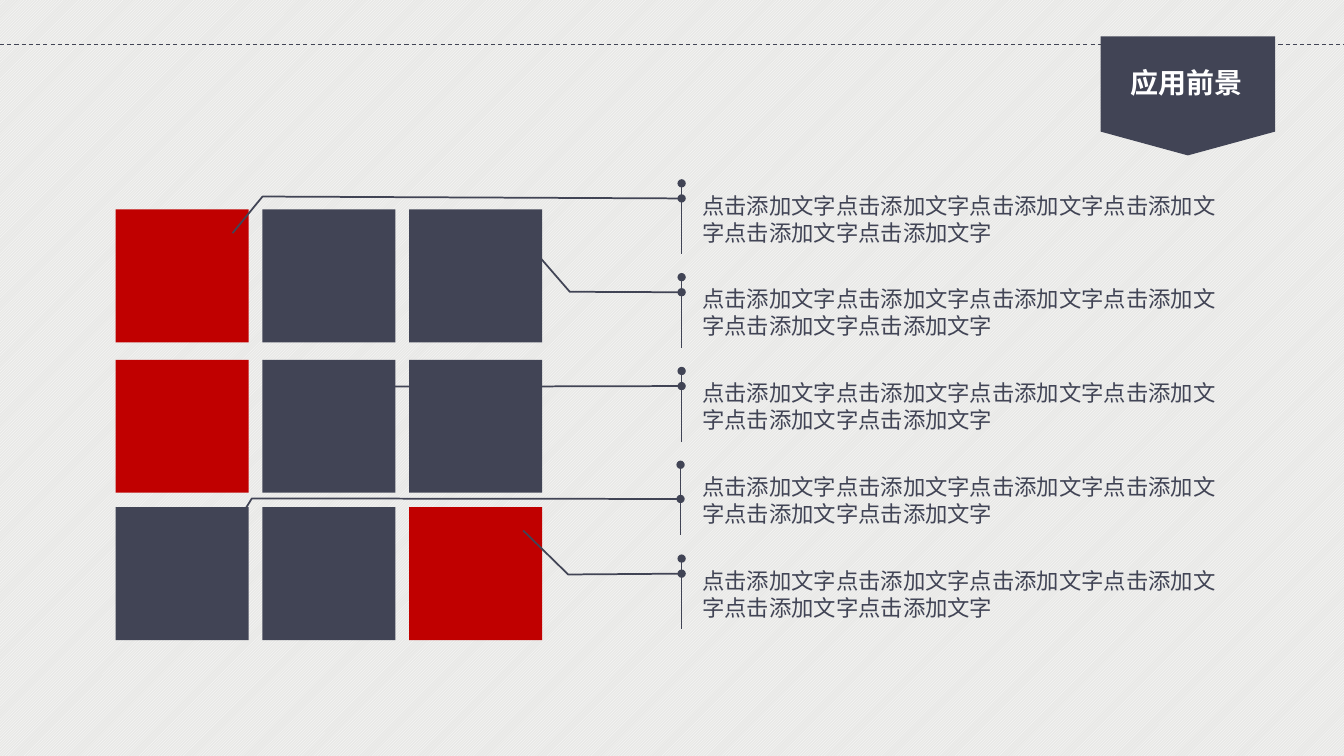
from lxml.etree import SubElement
from pptx import Presentation
from pptx.dml.color import RGBColor as RGB
from pptx.enum.dml import MSO_LINE as Dash, MSO_PATTERN as Pattern
from pptx.enum.shapes import MSO_CONNECTOR as Link, MSO_SHAPE as Shape
from pptx.enum.text import MSO_ANCHOR as Anchor, MSO_AUTO_SIZE as Fit, PP_ALIGN as Align
from pptx.oxml.ns import qn
from pptx.util import Pt


class Theme:
    dark = RGB(0x41, 0x44, 0x55)
    red = RGB(0xC0, 0x00, 0x00)
    white = RGB(0xFF, 0xFF, 0xFF)
    grey = RGB(0xE8, 0xE8, 0xE6)
    font = "Noto Sans CJK SC"
    head = Pt(20)
    body = Pt(16)


def add_block(kind, left, top, width, height, fill=None):
    block = slide.shapes.add_shape(kind, Pt(left), Pt(top), Pt(width), Pt(height))
    block.shadow.inherit = False
    if fill is None:
        block.fill.background()
    else:
        block.fill.solid()
        block.fill.fore_color.rgb = fill
        block.line.fill.background()
    return block


def write(frame, text, size, color, bold=False):
    para = frame.paragraphs[0]
    para.text = text
    para.alignment = Align.LEFT
    font = para.font
    font.size, font.bold, font.name = size, bold, Theme.font
    font.color.rgb = color
    SubElement(font._element, qn("a:ea"), typeface=Theme.font)


deck = Presentation()
deck.slide_width, deck.slide_height = Pt(960), Pt(540)
slide = deck.slides.add_slide(deck.slide_layouts[6])

# Striped background
back = slide.background.fill
back.patterned()
back.pattern = Pattern.LIGHT_UPWARD_DIAGONAL
back.fore_color.rgb = Theme.white
back.back_color.rgb = Theme.grey

# Dashed rule across the top
rule = slide.shapes.add_connector(Link.STRAIGHT, Pt(0), Pt(31.7), Pt(960), Pt(31.7))
rule.line.color.rgb = Theme.dark
rule.line.width = Pt(0.75)
rule.line.dash_style = Dash.DASH
SubElement(rule._element.spPr, qn("a:effectLst"))

# Title tag
add_block(Shape.FLOWCHART_OFFPAGE_CONNECTOR, 786.2, 26, 124.6, 85, Theme.dark)
title = slide.shapes.add_textbox(Pt(800.6), Pt(43.2), Pt(95), Pt(31.5)).text_frame
title.word_wrap = False
title.auto_size = Fit.SHAPE_TO_FIT_TEXT
write(title, "应用前景", Theme.head, Theme.white, True)

# Grid of tiles
reds = {(0, 0), (1, 0), (2, 2)}
for row, top in enumerate((149.6, 257, 362.2)):
    for col in range(3):
        fill = Theme.red if (row, col) in reds else Theme.dark
        add_block(Shape.RECTANGLE, 82.6 + 104.8 * col, top, 95, 95, fill)

# Callouts: pairs of y, x shares for the start, bend and end of each leader
leads = [
    (0.214, -0.02, 0.187, -0.803, 0.706, -0.859),
    (0.214, -0.02, 0.207, -0.229, -0.572, -0.318),
    (0.214, -0.02, 0.222, -0.43, 0.222, -0.592),
    (0.485, -0.022, 0.478, -0.823, 0.822, -0.851),
    (0.214, -0.02, 0.226, -0.232, -0.398, -0.316),
]
for num, lead in enumerate(leads):
    note = add_block(Shape.LINE_CALLOUT_2_ACCENT_BAR, 494.5, 131 + 67 * num, 382.3, 50.4)
    for spot, share in enumerate(lead):
        note.adjustments[spot] = share
    note.line.color.rgb = Theme.dark
    note.line.width = Pt(1.25)
    SubElement(note.line._get_or_add_ln(), qn("a:headEnd"), type="oval")
    note.text_frame.word_wrap = True
    note.text_frame.vertical_anchor = Anchor.MIDDLE
    write(note.text_frame, "点击添加文字" * 6, Theme.body, Theme.dark)

deck.save("out.pptx")
